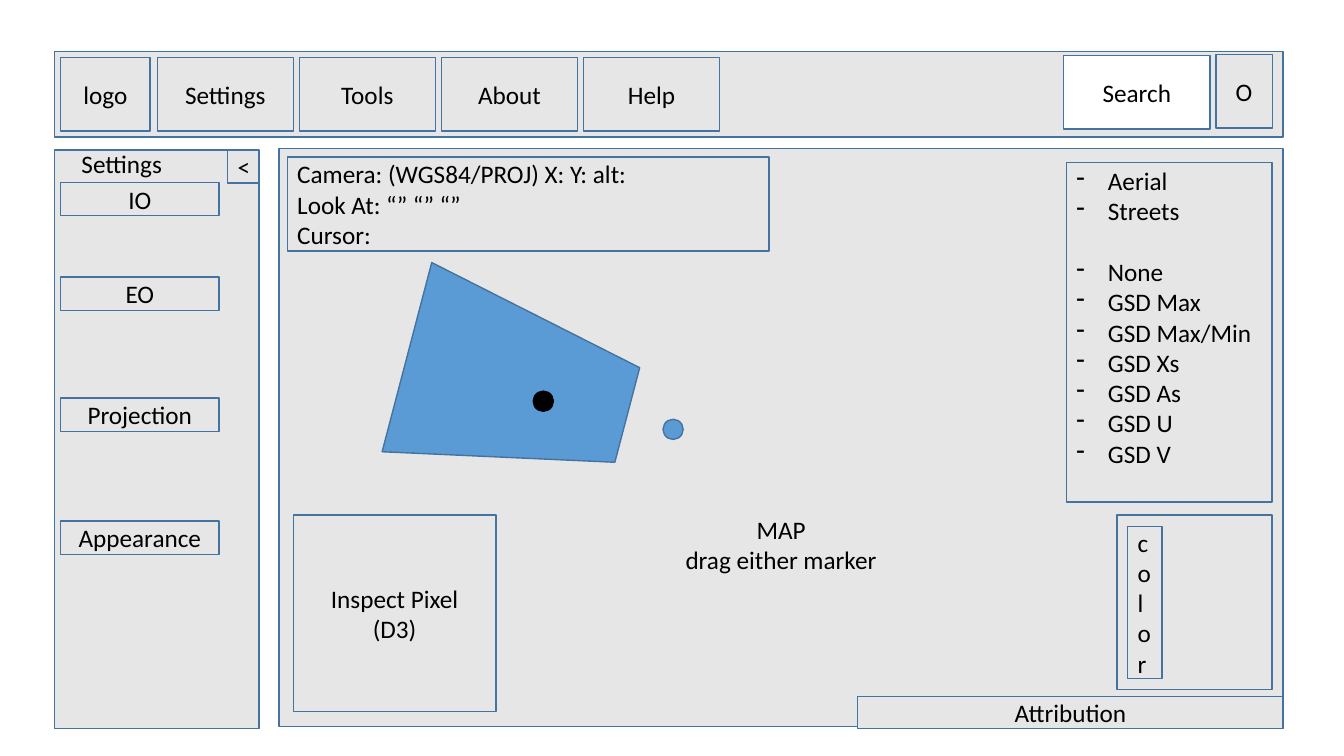
"""Build a wireframe slide of a map viewer with toolbar, settings and map panels."""
import dataclasses

import lxml.etree
import pptx
import pptx.dml.color
import pptx.enum.shapes
import pptx.enum.text
import pptx.oxml.ns
import pptx.util

Pt = pptx.util.Pt
Shape = pptx.enum.shapes.MSO_SHAPE
Align = pptx.enum.text.PP_ALIGN
Anchor = pptx.enum.text.MSO_ANCHOR


@dataclasses.dataclass(frozen=True)
class Theme:
    panel: str = "E7E6E6"
    white: str = "FFFFFF"
    black: str = "000000"
    accent: str = "5B9BD5"
    outline: str = "43739E"
    font: str = "Calibri"
    text_size: float = 18
    line_height: float = 22
    line_width: float = 1


THEME = Theme()


def color(value):
    return pptx.dml.color.RGBColor.from_string(value)


def add_outlined(slide, kind, left, top, width, height, fill, outline=THEME.outline):
    shape = slide.shapes.add_shape(kind, Pt(left), Pt(top), Pt(width), Pt(height))
    shape.shadow.inherit = False
    shape.fill.solid()
    shape.fill.fore_color.rgb = color(fill)
    shape.line.color.rgb = color(outline)
    shape.line.width = Pt(THEME.line_width)
    return shape


def format_text(text_frame, alignment):
    for paragraph in text_frame.paragraphs:
        paragraph.alignment = alignment
        for run in paragraph.runs:
            run.font.name = THEME.font
            run.font.size = Pt(THEME.text_size)
            run.font.color.rgb = color(THEME.black)


def add_box(slide, left, top, width, height, text="", alignment=Align.CENTER, fill=THEME.panel):
    box = add_outlined(slide, Shape.RECTANGLE, left, top, width, height, fill)
    if text:
        box.text_frame.text = text
        box.text_frame.word_wrap = True
        box.text_frame.vertical_anchor = Anchor.MIDDLE
        format_text(box.text_frame, alignment)
    return box


def add_label(slide, left, top, width, height, text):
    label = slide.shapes.add_textbox(Pt(left), Pt(top), Pt(width), Pt(height))
    label.text_frame.text = text
    label.text_frame.word_wrap = False
    format_text(label.text_frame, Align.LEFT)


def add_dot(slide, left, top, fill, outline):
    add_outlined(slide, Shape.OVAL, left, top, 14.4, 14.4, fill, outline)


def add_dash(paragraph, indent):
    properties = paragraph._p.get_or_add_pPr()
    properties.set("marL", str(Pt(indent)))
    properties.set("indent", str(-Pt(indent)))
    bullet = lxml.etree.SubElement(properties, pptx.oxml.ns.qn("a:buChar"))
    bullet.set("char", "-")


def add_layer_list(slide, left, top, width, height, groups):
    layers = [layer for group in groups for layer in group]
    box = add_box(slide, left, top, width, height, "\n".join(layers), Align.LEFT)
    box.text_frame.margin_bottom = Pt(3.6 + THEME.line_height)
    paragraphs = box.text_frame.paragraphs
    paragraphs[len(groups[0])].space_before = Pt(THEME.line_height)
    for paragraph in paragraphs:
        add_dash(paragraph, 22.5)


def add_toolbar(slide):
    add_box(slide, 38.9, 36.7, 877.7, 61.2)
    add_box(slide, 43.2, 41, 64.1, 52.6, "logo")
    for index, name in enumerate(["Settings", "Tools", "About", "Help"]):
        add_box(slide, 112.3 + index * 101.5, 41, 97.2, 52.6, name)
    add_box(slide, 759.6, 39.6, 104.8, 52.6, "Search", fill=THEME.white)
    add_box(slide, 868.5, 39, 40.3, 52.6, "O")


def add_settings_panel(slide):
    add_box(slide, 38.9, 107.3, 146.2, 413.3)
    add_box(slide, 162.7, 107.3, 22.3, 23.5, "<")
    add_label(slide, 51.1, 102.2, 73.4, 28.8, "Settings")
    sections = {"IO": 130.3, "EO": 198, "Projection": 284.4, "Appearance": 372.2}
    for name, top in sections.items():
        add_box(slide, 43.4, top, 113, 23.8, name)


def add_map_panel(slide):
    panel = add_box(slide, 199.4, 106, 717.1, 413, "MAP\ndrag either marker")
    panel.text_frame.vertical_anchor = Anchor.BOTTOM
    panel.text_frame.margin_bottom = Pt(108.5)
    add_layer_list(slide, 761.8, 116, 146.9, 242.6, [
        ["Aerial", "Streets"],
        ["None", "GSD Max", "GSD Max/Min", "GSD Xs", "GSD As", "GSD U", "GSD V"],
    ])
    add_box(slide, 612.7, 497.5, 303.8, 23, "Attribution")
    add_box(slide, 209.5, 368, 144.7, 140.4, "Inspect Pixel\n(D3)")
    add_box(slide, 797.8, 368, 110.9, 124.6)
    add_box(slide, 805.5, 376, 24.5, 108.7, "color", Align.LEFT)
    add_box(slide, 205.2, 112.3, 344.2, 67,
            "Camera: (WGS84/PROJ) X: Y: alt:\nLook At: “” “” “”\nCursor: ", Align.LEFT)


def add_footprint(slide):
    add_dot(slide, 473.6, 299.5, THEME.accent, THEME.outline)
    footprint = add_outlined(slide, Shape.TRAPEZOID, 299.5, 194.4, 139.7, 162.7, THEME.accent)
    footprint.rotation = 104.7
    add_dot(slide, 380.9, 279.4, THEME.black, THEME.black)


def main():
    presentation = pptx.Presentation()
    presentation.slide_width = Pt(960)
    presentation.slide_height = Pt(540)
    slide = presentation.slides.add_slide(presentation.slide_layouts[6])
    add_toolbar(slide)
    add_settings_panel(slide)
    add_map_panel(slide)
    add_footprint(slide)
    presentation.save("out.pptx")


main()
